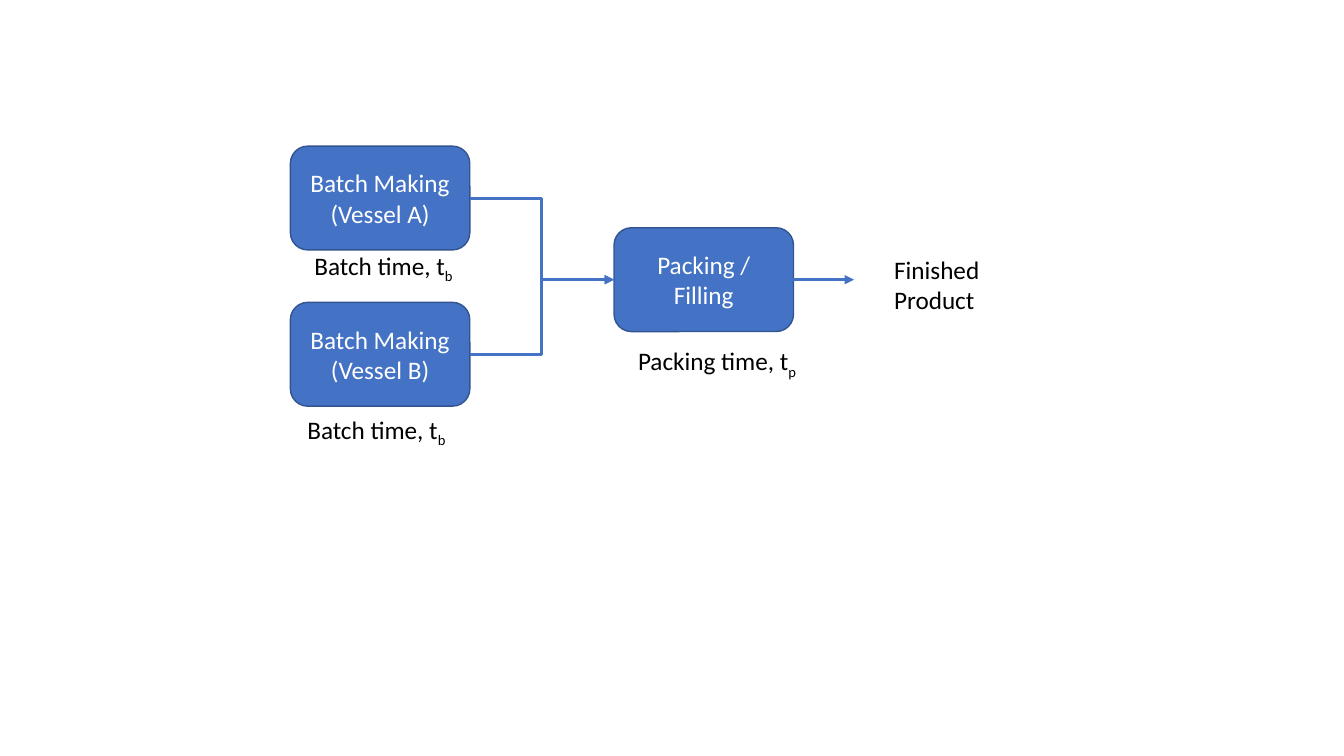
"""Build a slide showing two batch vessels feeding one packing step."""
import pptx
import pptx.dml.color
import pptx.enum.shapes
import pptx.enum.text
import pptx.oxml
import pptx.oxml.ns
import pptx.util

Inches = pptx.util.Inches
Pt = pptx.util.Pt
BLUE = pptx.dml.color.RGBColor(0x44, 0x72, 0xC4)
DARK_BLUE = pptx.dml.color.RGBColor(0x32, 0x54, 0x91)
WHITE = pptx.dml.color.RGBColor(0xFF, 0xFF, 0xFF)
BLACK = pptx.dml.color.RGBColor(0x00, 0x00, 0x00)
CONNECTOR = pptx.enum.shapes.MSO_CONNECTOR
LEFT_SITE, RIGHT_SITE = 1, 3
STEP_WIDTH, STEP_HEIGHT = 1.78, 1.03


def format_span(span, color):
    span.font.name = "Calibri"
    span.font.size = Pt(18)
    span.font.color.rgb = color


def style_arrow(arrow):
    arrow.line.color.rgb = BLUE
    arrow.line.width = Pt(2.25)
    namespace = pptx.oxml.ns.nsdecls("a")
    arrow.line._get_or_add_ln().append(
        pptx.oxml.parse_xml(f'<a:tailEnd {namespace} type="triangle"/>'))
    arrow._element.spPr.append(pptx.oxml.parse_xml(f"<a:effectLst {namespace}/>"))


deck = pptx.Presentation()
deck.slide_width = Inches(13.33)
deck.slide_height = Inches(7.5)
page = deck.slides.add_slide(deck.slide_layouts[6])

steps = []
for wording, left, top in [
    ("Batch Making (Vessel A)", 2.88, 1.45),
    ("Batch Making (Vessel B)", 2.88, 3),
    ("Packing / Filling", 6.09, 2.26),
]:
    step = page.shapes.add_shape(
        pptx.enum.shapes.MSO_SHAPE.ROUNDED_RECTANGLE,
        Inches(left), Inches(top), Inches(STEP_WIDTH), Inches(STEP_HEIGHT))
    step.shadow.inherit = False
    step.fill.solid()
    step.fill.fore_color.rgb = BLUE
    step.line.color.rgb = DARK_BLUE
    step.line.width = Pt(1)
    step.text_frame.text = wording
    step.text_frame.word_wrap = True
    step.text_frame.vertical_anchor = pptx.enum.text.MSO_ANCHOR.MIDDLE
    para = step.text_frame.paragraphs[0]
    para.alignment = pptx.enum.text.PP_ALIGN.CENTER
    format_span(para.runs[0], WHITE)
    steps.append(step)

*vessels, packing = steps
for vessel in vessels:
    feed = page.shapes.add_connector(CONNECTOR.ELBOW, 0, 0, 0, 0)
    feed.begin_connect(vessel, RIGHT_SITE)
    feed.end_connect(packing, LEFT_SITE)
    style_arrow(feed)

middle = packing.top + packing.height // 2
output = page.shapes.add_connector(
    CONNECTOR.STRAIGHT, packing.left + packing.width, middle, Inches(8.47), middle)
output.begin_connect(packing, RIGHT_SITE)
style_arrow(output)

for lines, subscript, left, top, width, height in [
    (["Finished", "Product"], "", 8.77, 2.47, 1.06, 0.71),
    (["Batch time, t"], "b", 3.02, 2.43, 1.64, 0.4),
    (["Packing time, t"], "p", 6.23, 3.38, 1.8, 0.4),
    (["Batch time, t"], "b", 2.95, 4.06, 1.64, 0.4),
]:
    box = page.shapes.add_textbox(Inches(left), Inches(top), Inches(width), Inches(height))
    box.text_frame.text = "\n".join(lines)
    box.text_frame.word_wrap = False
    box.text_frame.auto_size = pptx.enum.text.MSO_AUTO_SIZE.SHAPE_TO_FIT_TEXT
    for para in box.text_frame.paragraphs:
        format_span(para.runs[0], BLACK)
    if subscript:
        span = para.add_run()
        span.text = subscript
        format_span(span, BLACK)
        span.font._element.set("baseline", "-25000")

deck.save("out.pptx")
